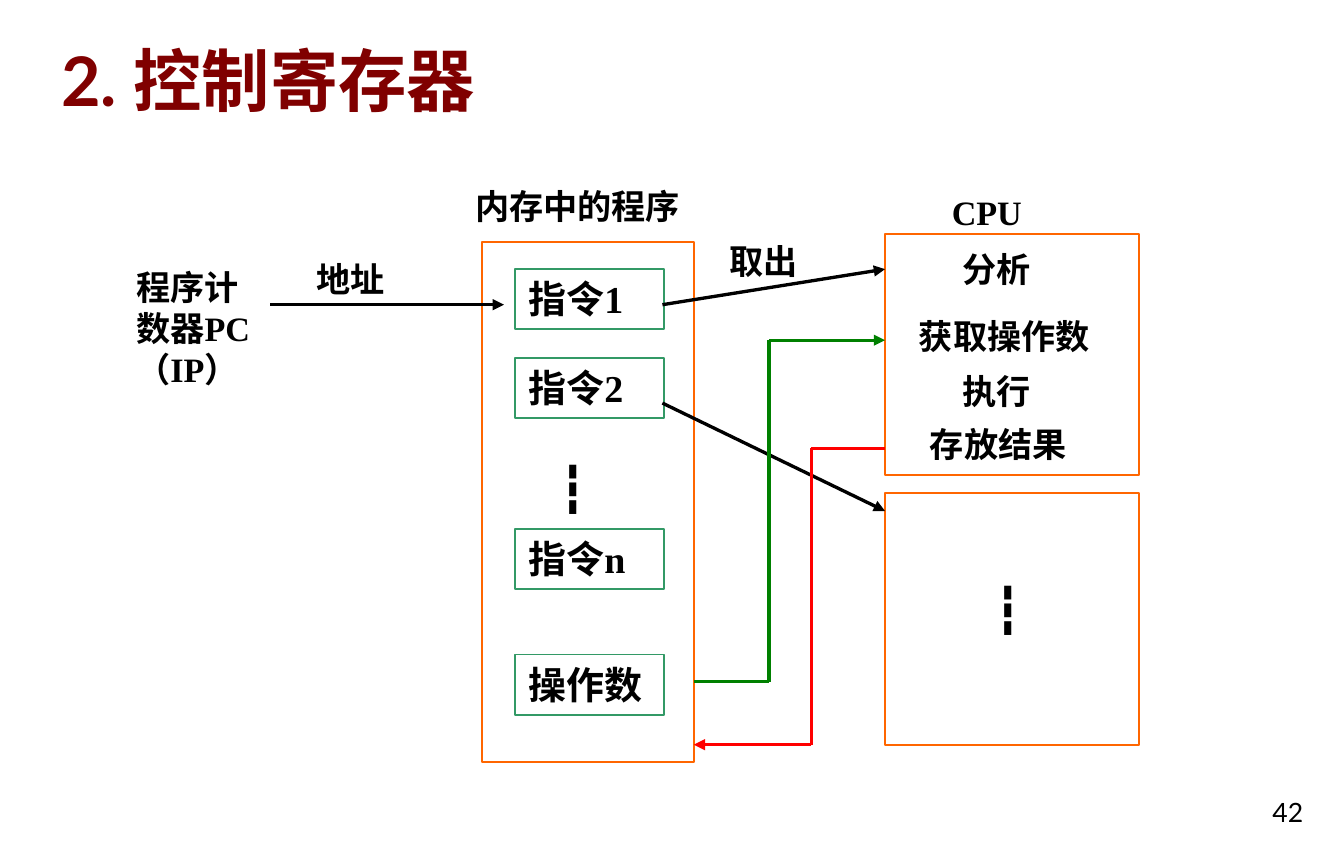
from lxml import etree
from pptx import Presentation
from pptx.dml.color import RGBColor
from pptx.enum.shapes import MSO_CONNECTOR, MSO_SHAPE
from pptx.enum.text import MSO_ANCHOR, PP_ALIGN
from pptx.oxml.ns import qn
from pptx.util import Inches, Pt

RECT = MSO_SHAPE.RECTANGLE
LINE = MSO_CONNECTOR.STRAIGHT
TOP, BOTTOM = MSO_ANCHOR.TOP, MSO_ANCHOR.BOTTOM
LEFT, RIGHT = PP_ALIGN.LEFT, PP_ALIGN.RIGHT
SANS, SERIF = "Lato", "Times New Roman"
BLACK, MAROON, ORANGE = "000000", "800000", "FF6600"
TEAL, GREEN, RED = "339966", "008000", "FF0000"


def color(text):
    return RGBColor.from_string(text)


class Board:
    """Holds the style and the slide being drawn."""

    def __init__(self, slide):
        self.shapes = slide.shapes
        self.stroke = Pt(1.75)
        self.border = Pt(1)

    def fill_text(self, shape, text, size, font=SERIF, tone=BLACK, bold=True,
                  align=LEFT, anchor=TOP):
        frame = shape.text_frame
        frame.word_wrap = True
        frame.vertical_anchor = anchor
        frame.text = text
        for para in frame.paragraphs:
            para.alignment = align
            for run in para.runs:
                run.font.size = Pt(size)
                run.font.name = font
                run.font.bold = bold
                run.font.color.rgb = color(tone)

    def label(self, text, x, y, w, h=0.4, size=18, **style):
        box = self.shapes.add_textbox(Inches(x), Inches(y), Inches(w), Inches(h))
        self.fill_text(box, text, size, **style)

    def frame(self, x, y, w, h, tone=ORANGE):
        box = self.shapes.add_shape(RECT, Inches(x), Inches(y), Inches(w), Inches(h))
        box.shadow.inherit = False
        box.fill.background()
        box.line.color.rgb = color(tone)
        box.line.width = self.border
        return box

    def cell(self, text, y):
        self.fill_text(self.frame(3.77, y, 1.09, 0.44, TEAL), text, 20)

    def route(self, points, tone=BLACK):
        """Draws straight legs through the points, with a head on the last."""
        for (x1, y1), (x2, y2) in zip(points, points[1:]):
            leg = self.shapes.add_connector(
                LINE, Inches(x1), Inches(y1), Inches(x2), Inches(y2))
            leg.line.color.rgb = color(tone)
            leg.line.width = self.stroke
            props = leg.element.spPr
            etree.SubElement(props, qn("a:effectLst"))
        etree.SubElement(props.find(qn("a:ln")), qn("a:tailEnd"), type="triangle")


def main():
    deck = Presentation()
    deck.slide_width, deck.slide_height = Inches(9.84), Inches(6.25)
    board = Board(deck.slides.add_slide(deck.slide_layouts[6]))

    # Title and page number
    board.label("2. 控制寄存器", 0.35, 0.21, 8.39, 0.72, 36,
                font=SANS, tone=MAROON, anchor=BOTTOM)
    board.label("42", 9.02, 5.69, 0.62, 0.42, 14,
                font=SANS, bold=False, align=RIGHT, anchor=BOTTOM)

    # Program counter
    board.label("程序计\n数器PC\n（IP）", 0.9, 1.9, 1.24, 1)
    board.label("地址", 2.22, 1.84, 0.78)

    # Program in memory
    board.label("内存中的程序", 3.38, 1.31, 1.94)
    board.frame(3.53, 1.77, 1.55, 3.81)
    for text, y in (("指令1", 1.97), ("指令2", 2.62), ("指令n", 3.87), ("操作数", 4.79)):
        board.cell(text, y)
    board.label("取出", 5.24, 1.71, 1.01)

    # CPU steps, then the next round
    board.label("CPU", 6.87, 1.35, 1.01)
    board.frame(6.48, 1.71, 1.86, 1.77)
    board.frame(6.48, 3.61, 1.86, 1.84)
    for text, x, y, w in (("分析", 6.95, 1.77, 0.85), ("获取操作数", 6.63, 2.26, 1.71),
                          ("执行", 6.95, 2.66, 0.85), ("存放结果", 6.71, 3.05, 1.39)):
        board.label(text, x, y, w)

    # Dots for what is left out
    for x, y in ((4, 3.32), (7.18, 4.2)):
        board.label("┇", x, y, 0.62, 0.5, 24, font=SANS)

    # Arrows: address, fetches, operand, result
    board.route([(1.98, 2.23), (3.69, 2.23)])
    board.route([(4.85, 2.23), (6.48, 1.97)])
    board.route([(4.85, 2.95), (6.48, 3.74)])
    board.route([(5.08, 4.99), (5.63, 4.99), (5.63, 2.49), (6.48, 2.49)], GREEN)
    board.route([(6.48, 3.28), (5.94, 3.28), (5.94, 5.45), (5.08, 5.45)], RED)

    deck.save("out.pptx")


if __name__ == "__main__":
    main()
